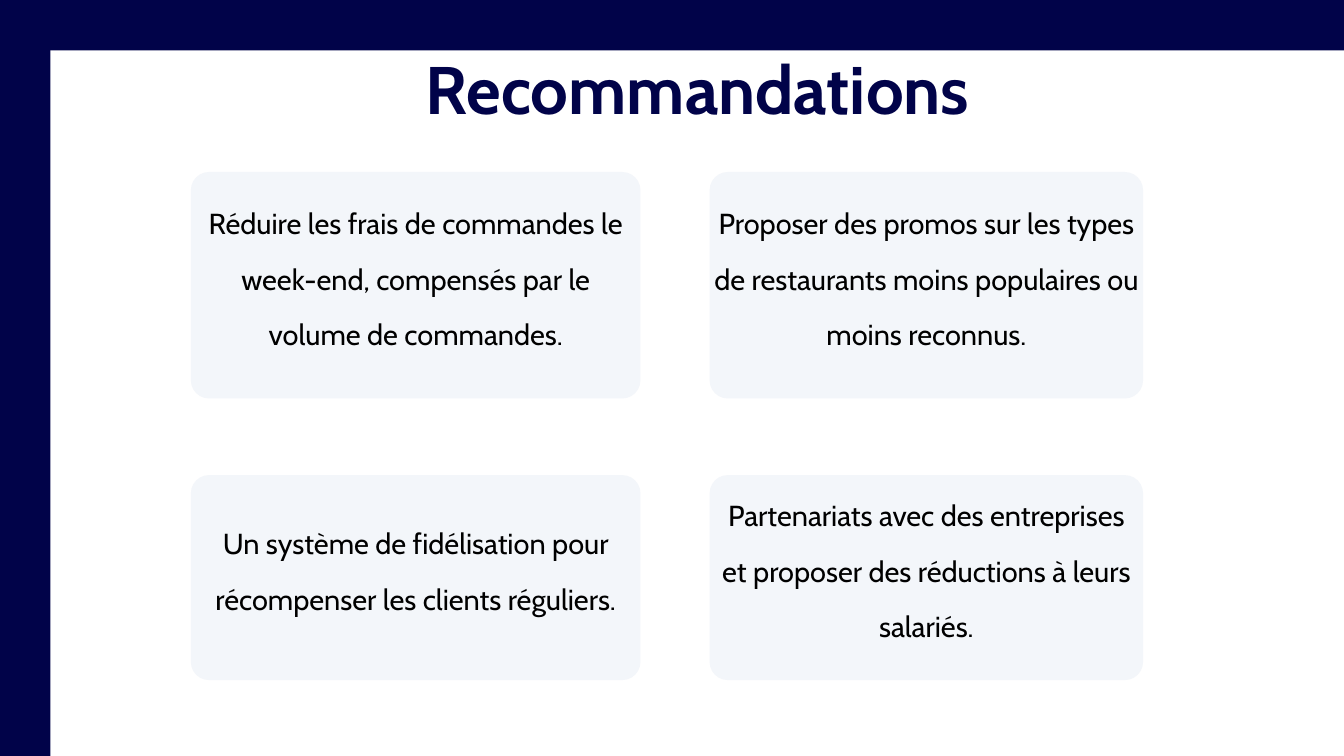
from pptx import Presentation
from pptx.dml.color import RGBColor
from pptx.enum.shapes import MSO_SHAPE
from pptx.enum.text import MSO_ANCHOR, PP_ALIGN
from pptx.util import Inches, Pt

RECT, ROUNDED = MSO_SHAPE.RECTANGLE, MSO_SHAPE.ROUNDED_RECTANGLE
TOP, MIDDLE = MSO_ANCHOR.TOP, MSO_ANCHOR.MIDDLE
CENTER = PP_ALIGN.CENTER

TITLE = "Recommandations"
CARDS = [
    ["Réduire les frais de commandes le week-end, compensés par le volume de commandes.",
     "Proposer des promos sur les types de restaurants moins populaires ou moins reconnus."],
    ["Un système de fidélisation pour récompenser les clients réguliers.",
     "Partenariats avec des entreprises et proposer des réductions à leurs salariés."],
]

THEME = {
    "font": "Cabin",
    "navy": RGBColor(0x01, 0x03, 0x49),
    "card": RGBColor(0xF3, 0xF6, 0xFA),
    "text": RGBColor(0, 0, 0),
    "title_size": Pt(72),
    "card_size": Pt(31),
}

SLIDE_W, SLIDE_H = 20, 11.25
BAR = 0.75
COLUMNS = [(2.84, 6.69), (10.56, 6.45)]  # left, width
ROWS = [(2.56, 3.37), (7.07, 3.05)]      # top, height
RADIUS = 0.27
TEXT_RISE = 0.51                         # text box starts above its card
TEXT_INSET = 0.06


def add_block(s, kind, x, y, w, h, color):
    block = s.shapes.add_shape(kind, Inches(x), Inches(y), Inches(w), Inches(h))
    block.shadow.inherit = False
    block.fill.solid()
    block.fill.fore_color.rgb = color
    block.line.fill.background()
    return block


def add_text(s, text, x, y, w, h, size, color, bold=False, inset=0, anchor=TOP, spacing=1.0):
    tf = s.shapes.add_textbox(Inches(x), Inches(y), Inches(w), Inches(h)).text_frame
    tf.word_wrap = True
    tf.vertical_anchor = anchor
    tf.margin_left = tf.margin_right = tf.margin_top = tf.margin_bottom = Inches(inset)
    tf.text = text
    p = tf.paragraphs[0]
    p.alignment = CENTER
    p.line_spacing = spacing
    font = p.runs[0].font
    font.name, font.size, font.bold = THEME["font"], size, bold
    font.color.rgb = color


def add_card(s, text, x, y, w, h):
    card = add_block(s, ROUNDED, x, y, w, h, THEME["card"])
    card.adjustments[0] = RADIUS / min(w, h)
    add_text(s, text, x, y - TEXT_RISE, w, h + TEXT_RISE, THEME["card_size"], THEME["text"],
             inset=TEXT_INSET, anchor=MIDDLE, spacing=1.6)


def main():
    prs = Presentation()
    prs.slide_width, prs.slide_height = Inches(SLIDE_W), Inches(SLIDE_H)
    s = prs.slides.add_slide(prs.slide_layouts[6])

    add_block(s, RECT, 0, 0, BAR, SLIDE_H, THEME["navy"])
    add_block(s, RECT, 0, 0, SLIDE_W, BAR, THEME["navy"])
    for (y, h), texts in zip(ROWS, CARDS):
        for (x, w), text in zip(COLUMNS, texts):
            add_card(s, text, x, y, w, h)
    add_text(s, TITLE, 5.43, 0.7, 9.9, 1.21, THEME["title_size"], THEME["navy"], bold=True)

    prs.save("out.pptx")


if __name__ == "__main__":
    main()
